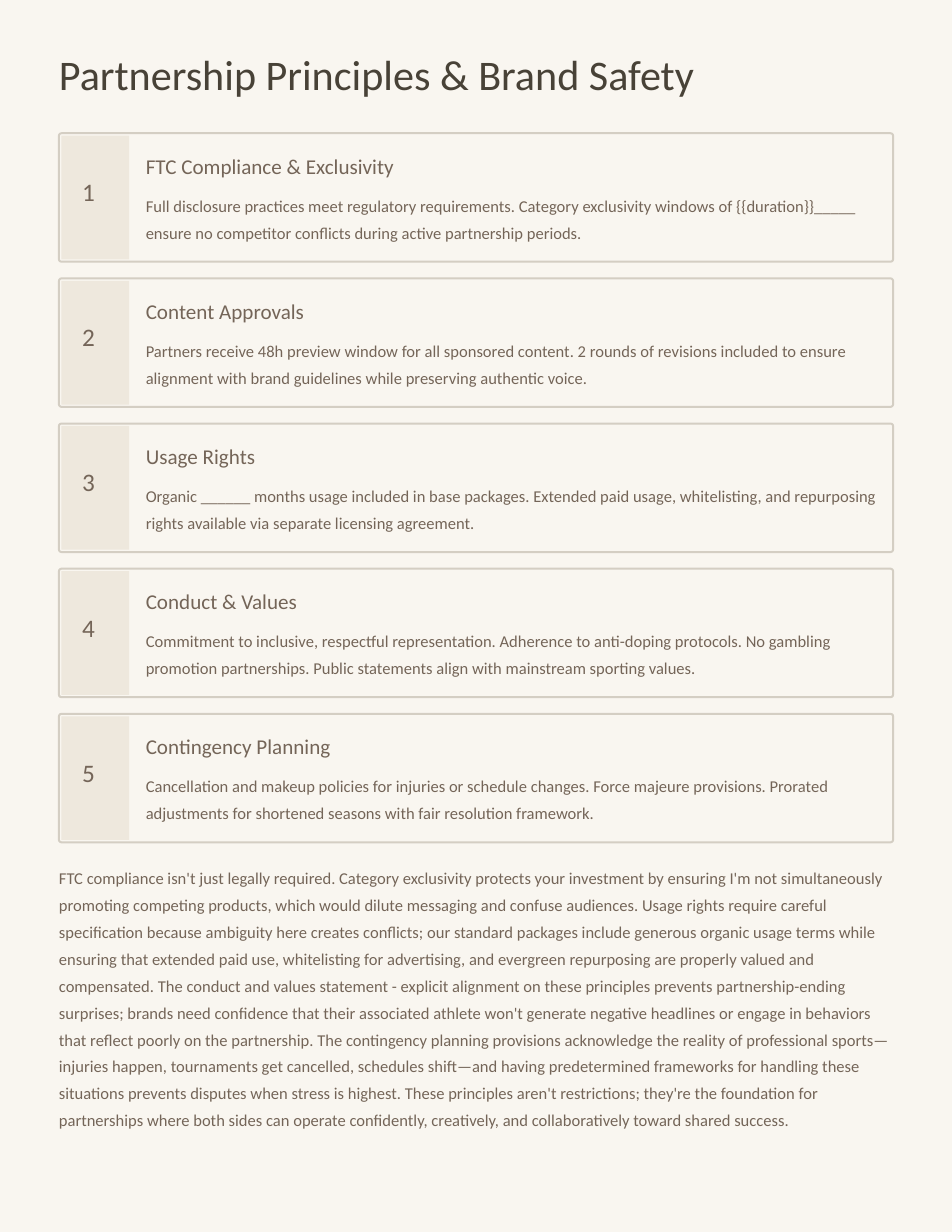
import pptx
import pptx.util
import pptx.dml.color
import pptx.enum.shapes
import pptx.enum.text
import pptx.oxml

# Content
TITLE = "Partnership Principles & Brand Safety"
PRINCIPLES = [
    ("FTC Compliance & Exclusivity",
     "Full disclosure practices meet regulatory requirements. Category exclusivity windows of "
     "{{duration}}_____ ensure no competitor conflicts during active partnership periods."),
    ("Content Approvals",
     "Partners receive 48h preview window for all sponsored content. 2 rounds of revisions included "
     "to ensure alignment with brand guidelines while preserving authentic voice."),
    ("Usage Rights",
     "Organic ______ months usage included in base packages. Extended paid usage, whitelisting, and "
     "repurposing rights available via separate licensing agreement."),
    ("Conduct & Values",
     "Commitment to inclusive, respectful representation. Adherence to anti-doping protocols. No "
     "gambling promotion partnerships. Public statements align with mainstream sporting values."),
    ("Contingency Planning",
     "Cancellation and makeup policies for injuries or schedule changes. Force majeure provisions. "
     "Prorated adjustments for shortened seasons with fair resolution framework."),
]
SUMMARY_SENTENCES = [
    "FTC compliance isn't just legally required.",
    "Category exclusivity protects your investment by ensuring I'm not simultaneously promoting "
    "competing products, which would dilute messaging and confuse audiences.",
    "Usage rights require careful specification because ambiguity here creates conflicts; our "
    "standard packages include generous organic usage terms while ensuring that extended paid use, "
    "whitelisting for advertising, and evergreen repurposing are properly valued and compensated.",
    "The conduct and values statement - explicit alignment on these principles prevents "
    "partnership-ending surprises; brands need confidence that their associated athlete won't "
    "generate negative headlines or engage in behaviors that reflect poorly on the partnership.",
    "The contingency planning provisions acknowledge the reality of professional sports—injuries "
    "happen, tournaments get cancelled, schedules shift—and having predetermined frameworks for "
    "handling these situations prevents disputes when stress is highest.",
    "These principles aren't restrictions; they're the foundation for partnerships where both sides "
    "can operate confidently, creatively, and collaboratively toward shared success.",
]

# Style: (size, line spacing) in points
FONT = "Calibri"
PAPER, BORDER, TAB, DARK, BROWN = "F9F6F0", "D4CEC3", "EEE8DD", "484237", "746558"
TITLE_TYPE, NUMBER_TYPE, HEADING_TYPE, BODY_TYPE = (51, 63.5), (30.5, 30.5), (25.5, 31.5), (20, 32.5)

# Layout in inches
WIDTH, HEIGHT = 16, 20.71
MARGIN = 0.99
CONTENT_WIDTH = WIDTH - 2 * MARGIN
CARDS_TOP, CARD_HEIGHT, CARD_GAP = 2.24, 2.16, 0.28
TAB_INSET, TAB_WIDTH = 0.04, 1.14
TEXT_LEFT = 2.45
TEXT_WIDTH = 12.52


def color(value):
    return pptx.dml.color.RGBColor.from_string(value)


def place(shape, left, top, width, height):
    shape.left, shape.top, shape.width, shape.height = map(
        pptx.util.Inches, (left, top, width, height))


def write(shape, text, type_style, text_color=BROWN):
    size, spacing = type_style
    frame = shape.text_frame
    frame.text = text
    frame.word_wrap = True
    frame.auto_size = pptx.enum.text.MSO_AUTO_SIZE.NONE
    frame.vertical_anchor = pptx.enum.text.MSO_ANCHOR.TOP
    frame.margin_left = frame.margin_top = frame.margin_right = frame.margin_bottom = 0
    paragraph = frame.paragraphs[0]
    paragraph.alignment = pptx.enum.text.PP_ALIGN.LEFT
    paragraph.line_spacing = pptx.util.Pt(spacing)
    paragraph.space_before = pptx.util.Pt(0)
    font = paragraph.runs[0].font
    font.name, font.size = FONT, pptx.util.Pt(size)
    font.color.rgb = color(text_color)
    return paragraph


def add_text(slide, box, text, type_style):
    shape = slide.shapes.add_textbox(*map(pptx.util.Inches, box))
    write(shape, text, type_style)


def add_panel(slide, box, fill, corner, border=None):
    shape = slide.shapes.add_shape(
        pptx.enum.shapes.MSO_SHAPE.ROUNDED_RECTANGLE, *map(pptx.util.Inches, box))
    shape.shadow.inherit = False
    shape.adjustments[0] = corner
    shape.fill.solid()
    shape.fill.fore_color.rgb = color(fill)
    if border:
        shape.line.color.rgb = color(border)
        shape.line.width = pptx.util.Pt(2.4)
    else:
        shape.line.fill.background()


def add_card(slide, number, heading, body):
    top = CARDS_TOP + (number - 1) * (CARD_HEIGHT + CARD_GAP)
    add_panel(slide, (MARGIN, top, CONTENT_WIDTH, CARD_HEIGHT), PAPER, 0.02, BORDER)
    add_panel(slide, (MARGIN + TAB_INSET, top + TAB_INSET, TAB_WIDTH, CARD_HEIGHT - 2 * TAB_INSET),
              TAB, 0)
    add_text(slide, (1.38, top + 0.81, 0.43, 0.53), str(number), NUMBER_TYPE)
    add_text(slide, (TEXT_LEFT, top + 0.32, 5.24, 0.44), heading, HEADING_TYPE)
    add_text(slide, (TEXT_LEFT, top + 0.93, TEXT_WIDTH, 0.91), body, BODY_TYPE)


def main():
    presentation = pptx.Presentation()
    presentation.slide_width = pptx.util.Inches(WIDTH)
    presentation.slide_height = pptx.util.Inches(HEIGHT)
    slide = presentation.slides.add_slide(presentation.slide_layouts[1])
    slide.background.fill.solid()
    slide.background.fill.fore_color.rgb = color(PAPER)

    # Title
    title = slide.shapes.title
    place(title, MARGIN, 0.78, 13.33, 0.89)
    write(title, TITLE, TITLE_TYPE, DARK)

    # Numbered principle cards
    for number, (heading, body) in enumerate(PRINCIPLES, start=1):
        add_card(slide, number, heading, body)

    # Closing summary, without bullet or indent
    summary = slide.placeholders[1]
    cards_bottom = CARDS_TOP + len(PRINCIPLES) * (CARD_HEIGHT + CARD_GAP)
    place(summary, MARGIN, cards_bottom + 0.04, CONTENT_WIDTH, 5)
    paragraph = write(summary, " ".join(SUMMARY_SENTENCES), BODY_TYPE)
    properties = paragraph._p.get_or_add_pPr()
    properties.set("marL", "0")
    properties.set("indent", "0")
    properties.append(pptx.oxml.parse_xml(
        '<a:buNone xmlns:a="http://schemas.openxmlformats.org/drawingml/2006/main"/>'))

    presentation.save("out.pptx")


if __name__ == "__main__":
    main()
